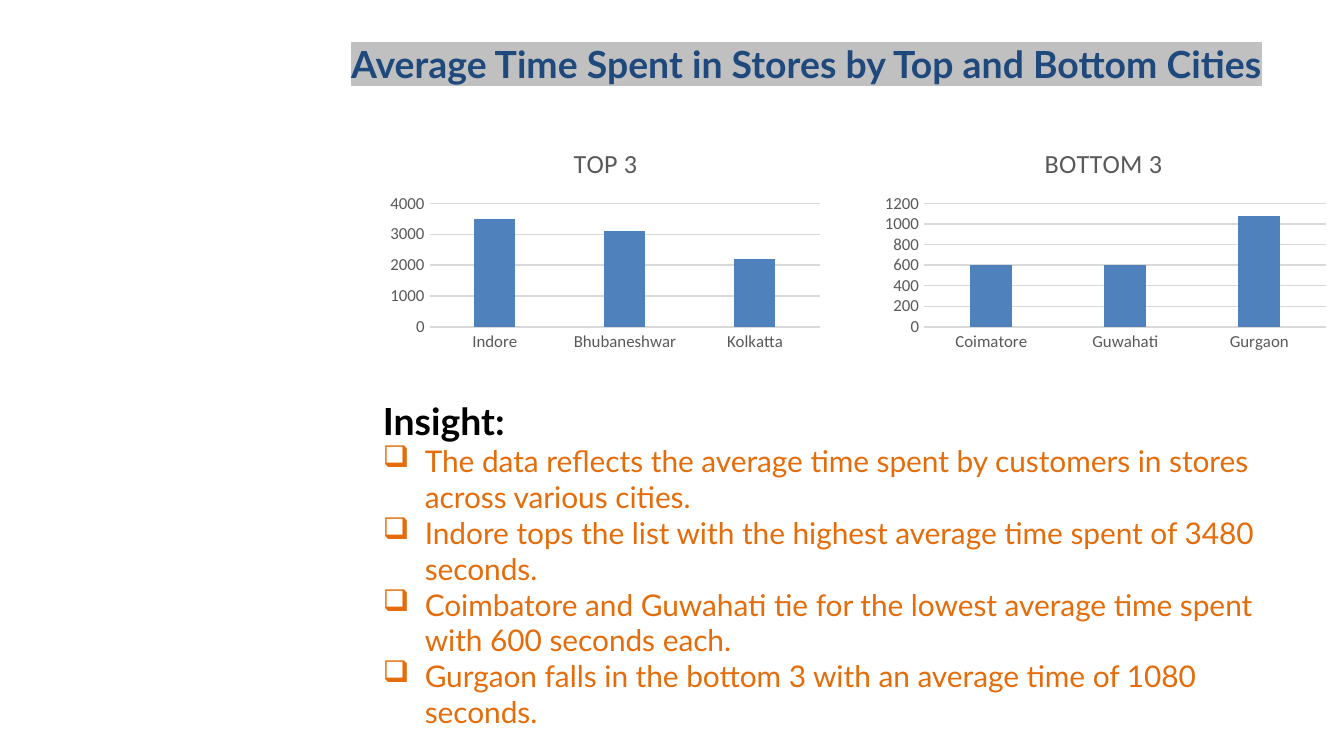
from lxml.etree import SubElement
from pptx import Presentation
from pptx.chart.data import CategoryChartData
from pptx.dml.color import RGBColor
from pptx.enum.chart import XL_CHART_TYPE, XL_TICK_MARK
from pptx.enum.text import MSO_ANCHOR, MSO_AUTO_SIZE, PP_ALIGN
from pptx.oxml import parse_xml
from pptx.oxml.ns import nsdecls, qn
from pptx.util import Pt

PX = 5715
COLORS = {
    "heading": "1F497D",
    "highlight": "C0C0C0",
    "bar": "4F81BD",
    "label": "595959",
    "grid": "D9D9D9",
    "black": "000000",
    "insight": "E46C0A",
}
INSIGHTS = [
    "The data reflects the average time spent by customers in stores across various cities.",
    "Indore tops the list with the highest average time spent of 3480 seconds.",
    "Coimbatore and Guwahati tie for the lowest average time spent with 600 seconds each.",
    "Gurgaon falls in the bottom 3 with an average time of 1080 seconds.",
]


def color(name):
    """Return the named colour as RGB."""
    return RGBColor.from_string(COLORS[name])


def emu(box):
    """Turn a box in px into EMU lengths."""
    return [length * PX for length in box]


def style_font(font, size, color_name, face, bold=False):
    """Set size, colour, face and weight of a font."""
    font.size = Pt(size)
    font.bold = bold
    font.name = face
    font.color.rgb = color(color_name)


def add_run(paragraph, wording, size, color_name, face="Lato", bold=False):
    """Append one styled run to a paragraph."""
    run = paragraph.add_run()
    run.text = wording
    style_font(run.font, size, color_name, face, bold)
    return run


def set_layout(parent, **fractions):
    """Give a chart part a manual layout in fractions of the chart."""
    for old in parent.findall(qn("c:layout")):
        parent.remove(old)
    modes = "".join(f'<c:{axis}Mode val="edge"/>' for axis in "xy")
    sizes = "".join(f'<c:{key} val="{part}"/>' for key, part in fractions.items())
    target = '<c:layoutTarget val="inner"/>' if "w" in fractions else ""
    layout = parse_xml(
        f'<c:layout {nsdecls("c")}><c:manualLayout>{target}{modes}{sizes}'
        "</c:manualLayout></c:layout>"
    )
    wording = parent.find(qn("c:tx"))
    if wording is None:
        parent.insert(0, layout)
    else:
        wording.addnext(layout)


def add_heading(slide, box):
    """Place the highlighted slide heading."""
    frame = slide.shapes.add_textbox(*emu(box)).text_frame
    frame.word_wrap = True
    frame.vertical_anchor = MSO_ANCHOR.MIDDLE
    line = frame.paragraphs[0]
    line.alignment = PP_ALIGN.CENTER
    run = add_run(line, "Average Time Spent in Stores by Top and Bottom Cities",
                  20, "heading", bold=True)
    highlight = parse_xml(
        f'<a:highlight {nsdecls("a")}><a:srgbClr val="{COLORS["highlight"]}"/></a:highlight>'
    )
    run._r.get_or_add_rPr().find(qn("a:solidFill")).addnext(highlight)


def add_city_chart(slide, box, heading, heading_left, seconds_by_city):
    """Place a column chart of seconds spent per city."""
    city_data = CategoryChartData()
    city_data.categories = list(seconds_by_city)
    city_data.add_series("Series 1", list(seconds_by_city.values()))
    chart = slide.shapes.add_chart(
        XL_CHART_TYPE.COLUMN_CLUSTERED, *emu(box), city_data).chart
    chart.has_legend = False
    style_font(chart.font, 10, "black", "Calibri")

    chart.has_title = True
    add_run(chart.chart_title.text_frame.paragraphs[0], heading, 14, "label", "Calibri")
    chart.chart_title.include_in_layout = False
    set_layout(chart.chart_title._element, x=heading_left, y=0.04)
    set_layout(chart._chartSpace.chart.plotArea, x=0.11, y=0.32, w=0.87, h=0.55)

    for axis in (chart.category_axis, chart.value_axis):
        axis.major_tick_mark = axis.minor_tick_mark = XL_TICK_MARK.NONE
        style_font(axis.tick_labels.font, 9, "label", "Calibri")
    chart.value_axis.format.line.fill.background()
    chart.value_axis.has_major_gridlines = True
    for rule in (chart.category_axis.format.line,
                 chart.value_axis.major_gridlines.format.line):
        rule.color.rgb = color("grid")
        rule.width = Pt(0.75)

    plot = chart.plots[0]
    plot.vary_by_categories = False
    plot.gap_width = 219
    plot.overlap = -27
    bars = plot.series[0].format.fill
    bars.solid()
    bars.fore_color.rgb = color("bar")


def add_insights(slide, box):
    """Place the insight heading and its bulleted findings."""
    frame = slide.shapes.add_textbox(*emu(box)).text_frame
    frame.word_wrap = True
    frame.auto_size = MSO_AUTO_SIZE.SHAPE_TO_FIT_TEXT
    frame.margin_top = 50 * PX
    add_run(frame.paragraphs[0], "Insight:", 20, "black", bold=True)
    for finding in INSIGHTS:
        paragraph = frame.add_paragraph()
        add_run(paragraph, finding, 16, "insight")
        properties = paragraph._p.get_or_add_pPr()
        properties.set("marL", str(50 * PX))
        properties.set("indent", str(-50 * PX))
        SubElement(properties, qn("a:buFont")).set("typeface", "Wingdings")
        SubElement(properties, qn("a:buChar")).set("char", "q")


def main():
    """Build and save the slide."""
    deck = Presentation()
    deck.slide_width, deck.slide_height = emu((1600, 900))
    slide = deck.slides.add_slide(deck.slide_layouts[6])
    add_heading(slide, (399, 22, 1122, 107))
    add_city_chart(slide, (453, 157, 534, 267), "TOP 3", 0.42,
                   {"Indore": 3500, "Bhubaneshwar": 3100, "Kolkatta": 2200})
    add_city_chart(slide, (1040, 157, 550, 267), "BOTTOM 3", 0.36,
                   {"Coimatore": 600, "Guwahati": 600, "Gurgaon": 1080})
    add_insights(slide, (440, 424, 1122, 462))
    deck.save("out.pptx")


if __name__ == "__main__":
    main()
